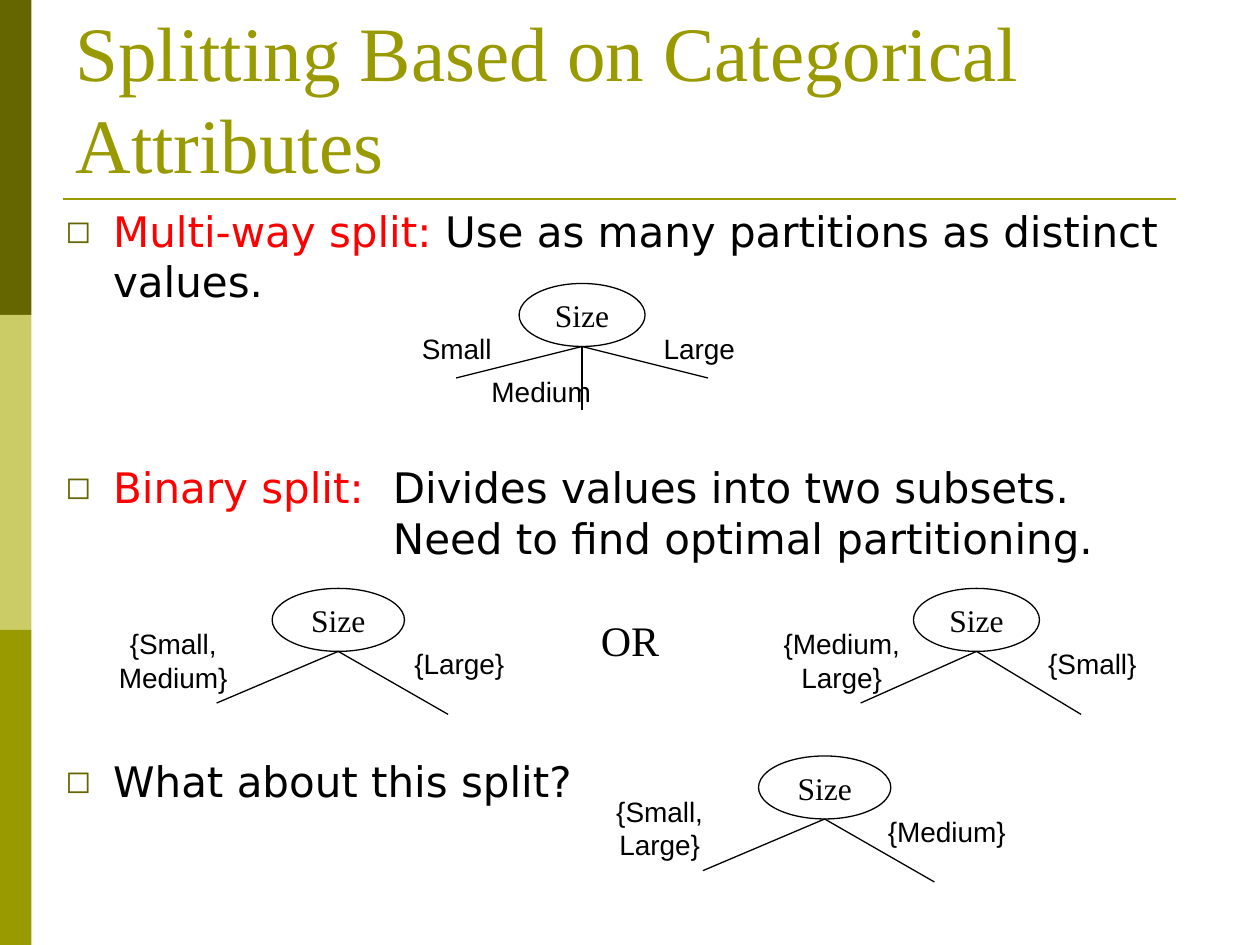
"""Build the slide on splitting based on categorical attributes."""
import pptx
import pptx.dml.color
import pptx.enum.shapes
import pptx.enum.text
import pptx.oxml.ns
import pptx.util
from lxml import etree
from pptx.util import Inches

COLORS = {"dark": "666600", "light": "CCCC66", "olive": "999900",
          "red": "FF0000", "black": "000000", "white": "FFFFFF"}
SERIF, SANS, BODY = "Times New Roman", "Arial", "DejaVu Sans"
SHAPES = pptx.enum.shapes.MSO_SHAPE
ANCHOR = pptx.enum.text.MSO_ANCHOR
AUTO_SIZE = pptx.enum.text.MSO_AUTO_SIZE
ALIGN = pptx.enum.text.PP_ALIGN


def rgb(name):
    return pptx.dml.color.RGBColor.from_string(COLORS[name])


def set_font(font, face, size, color="black"):
    font.name = face
    font.size = pptx.util.Pt(size)
    font.color.rgb = rgb(color)


def add_element(parent, tag, **attributes):
    return etree.SubElement(parent, pptx.oxml.ns.qn(tag), attributes)


def add_title(page, text):
    title = page.shapes.title
    title.left, title.top = Inches(0.5), Inches(0.3)
    title.width, title.height = Inches(9), Inches(1.25)
    frame = title.text_frame
    frame.text = text
    frame.word_wrap = True
    frame.auto_size = AUTO_SIZE.NONE
    frame.vertical_anchor = ANCHOR.BOTTOM
    para = frame.paragraphs[0]
    para.alignment = ALIGN.LEFT
    set_font(para.runs[0].font, SERIF, 44, "olive")


def add_shape(shapes, kind, left, top, width, height, fill):
    shape = shapes.add_shape(kind, Inches(left), Inches(top), Inches(width), Inches(height))
    shape.shadow.inherit = False
    shape.fill.solid()
    shape.fill.fore_color.rgb = rgb(fill)
    shape.line.fill.background()
    return shape


def add_line(shapes, start, end, color="black", weight=0.75):
    line = shapes.add_connector(pptx.enum.shapes.MSO_CONNECTOR.STRAIGHT,
                                *map(Inches, start + end))
    line.line.color.rgb = rgb(color)
    line.line.width = pptx.util.Pt(weight)
    add_element(line.element.spPr, "a:effectLst")


def write_centred(shape, text, face, size, wrap=False):
    frame = shape.text_frame
    frame.text = text
    frame.word_wrap = wrap
    frame.vertical_anchor = ANCHOR.MIDDLE
    if not wrap:
        frame.margin_left = frame.margin_right = 0
    para = frame.paragraphs[0]
    para.alignment = ALIGN.CENTER
    set_font(para.runs[0].font, face, size)


def add_label(shapes, text, left, top, width, height, face=SANS, size=16):
    box = shapes.add_textbox(Inches(left), Inches(top), Inches(width), Inches(height))
    write_centred(box, text, face, size, wrap=" " in text)
    box.text_frame.auto_size = AUTO_SIZE.NONE


def add_tree(page, left, top, width, tips, labels):
    """Draw a Size node with branch tips and (text, left, top, width) labels."""
    group = page.shapes.add_group_shape().shapes
    oval = add_shape(group, SHAPES.OVAL, left, top, width, 0.5, "white")
    oval.line.color.rgb = rgb("black")
    oval.line.width = pptx.util.Pt(0.75)
    write_centred(oval, "Size", SERIF, 18)
    root = (left + width / 2, top + 0.5)
    for across, down in tips:
        add_line(group, root, (root[0] + across, root[1] + down))
    for text, label_left, label_top, label_width in labels:
        add_label(group, text, label_left, label_top, label_width,
                  0.64 if " " in text else 0.37)


def add_binary_tree(page, left, top, width, first, second):
    """Draw a two-way tree; each side is (text, left, width)."""
    tips = [(-0.92 * width, 0.41), (0.83 * width, 0.5)]
    labels = [(text, label_left, top + drop, label_width)
              for (text, label_left, label_width), drop in ((first, 0.25), (second, 0.41))]
    add_tree(page, left, top, width, tips, labels)


def format_bullet(para, space):
    properties = para._p.get_or_add_pPr()
    properties.set("marL", str(Inches(0.38)))
    properties.set("indent", str(-Inches(0.38)))
    para.space_before = pptx.util.Pt(space)
    bullet_color = add_element(properties, "a:buClr")
    add_element(bullet_color, "a:srgbClr", val=COLORS["dark"])
    add_element(properties, "a:buSzPct", val="75000")
    add_element(properties, "a:buFont", typeface=BODY)
    add_element(properties, "a:buChar", char="◻")
    tabs = add_element(properties, "a:tabLst")
    add_element(tabs, "a:tab", pos=str(Inches(2.6)), algn="l")


def add_bullets(page, items):
    """Write (lead, lines, space before) items as square bullets."""
    box = page.shapes.add_textbox(Inches(0.42), Inches(1.58), Inches(9.17), Inches(5.75))
    frame = box.text_frame
    frame.word_wrap = True
    for index, (lead, lines, space) in enumerate(items):
        para = frame.paragraphs[0] if index == 0 else frame.add_paragraph()
        format_bullet(para, space)
        if lead:
            span = para.add_run()
            span.text = lead
            set_font(span.font, BODY, 24, "red")
        for number, line in enumerate(lines):
            if number:
                para.add_line_break()
            span = para.add_run()
            span.text = line
            set_font(span.font, BODY, 24)


def main():
    deck = pptx.Presentation()
    deck.slide_width, deck.slide_height = Inches(10), Inches(7.5)
    page = deck.slides.add_slide(deck.slide_layouts[5])
    for index, color in enumerate(("dark", "light", "olive")):
        add_shape(page.shapes, SHAPES.RECTANGLE, 0, 2.5 * index, 0.25, 2.5, color)
    add_line(page.shapes, (0.5, 1.58), (9.33, 1.58), "olive", 1.5)
    add_title(page, "Splitting Based on Categorical Attributes")
    add_bullets(page, [
        ("Multi-way split:", [" Use as many partitions as distinct values."], 0),
        ("Binary split:", ["\tDivides values into two subsets.",
                           "\tNeed to find optimal partitioning."], 89),
        ("", ["What about this split?"], 110),
    ])
    add_tree(page, 4.12, 2.25, 1, [(-1, 0.25), (0, 0.5), (1, 0.25)],
             [("Small", 3.25, 2.58, 0.75), ("Medium", 3.8, 2.92, 0.99),
              ("Large", 5.17, 2.58, 0.76)])
    add_binary_tree(page, 7.25, 4.67, 1,
                    ("{Medium, Large}", 6.09, 1.18), ("{Small}", 8.22, 0.9))
    add_binary_tree(page, 2.16, 4.67, 1.05,
                    ("{Small, Medium}", 0.83, 1.09), ("{Large}", 3.19, 0.91))
    add_label(page.shapes, "OR", 4.67, 4.83, 0.66, 0.5, SERIF, 24)
    add_binary_tree(page, 6.02, 6, 1.05,
                    ("{Small, Large}", 4.69, 1.09), ("{Medium}", 6.95, 1.13))
    deck.save("out.pptx")


if __name__ == "__main__":
    main()
